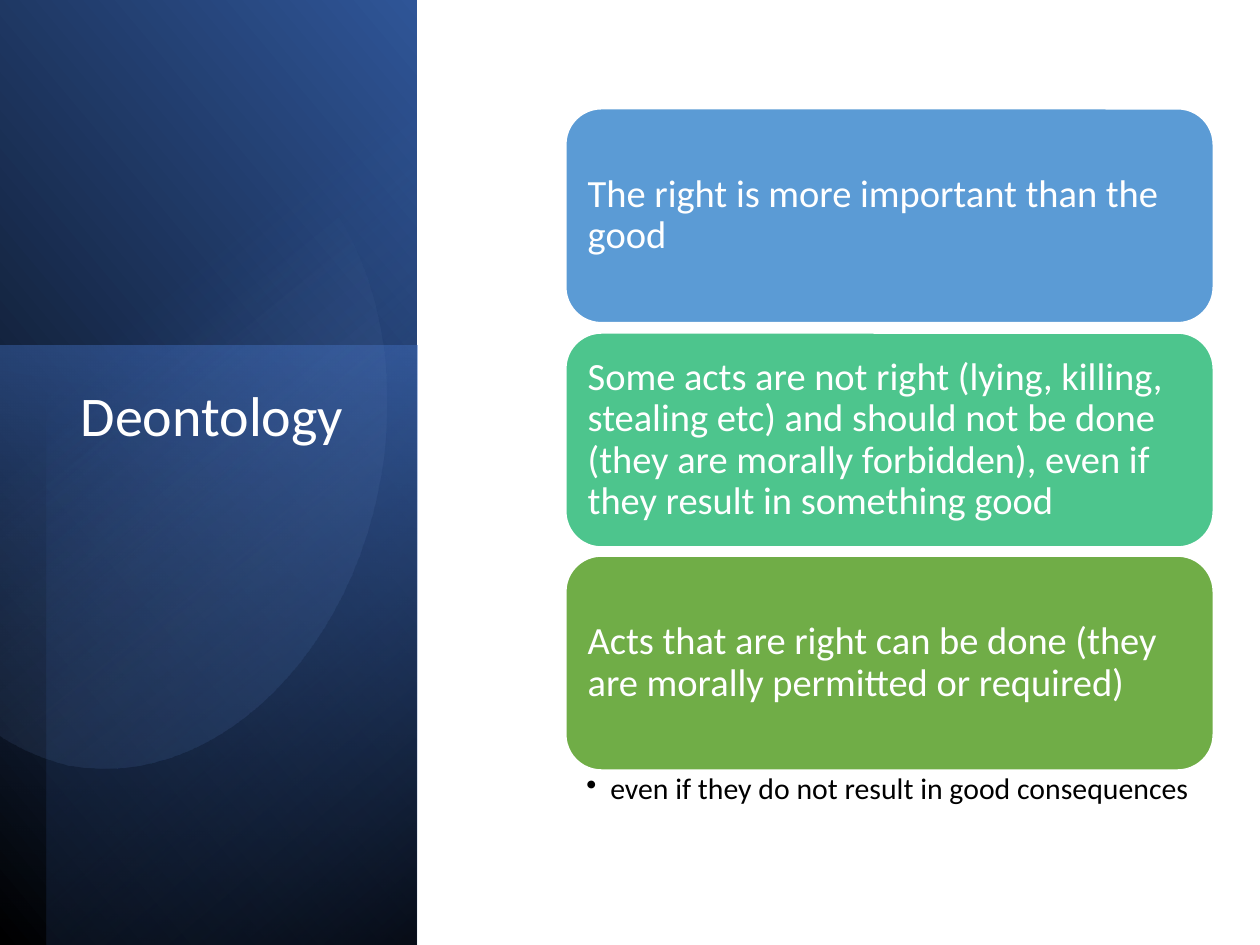
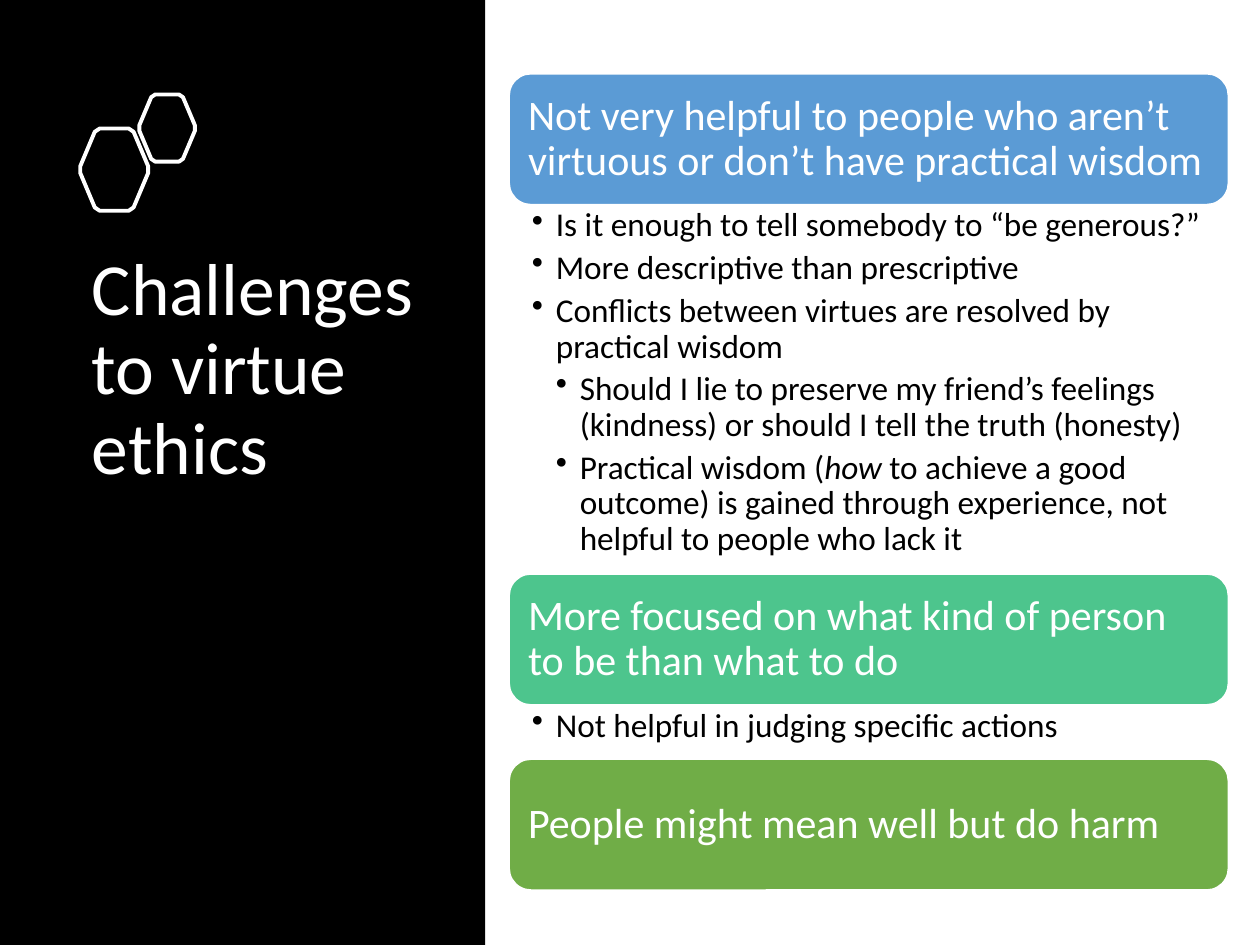
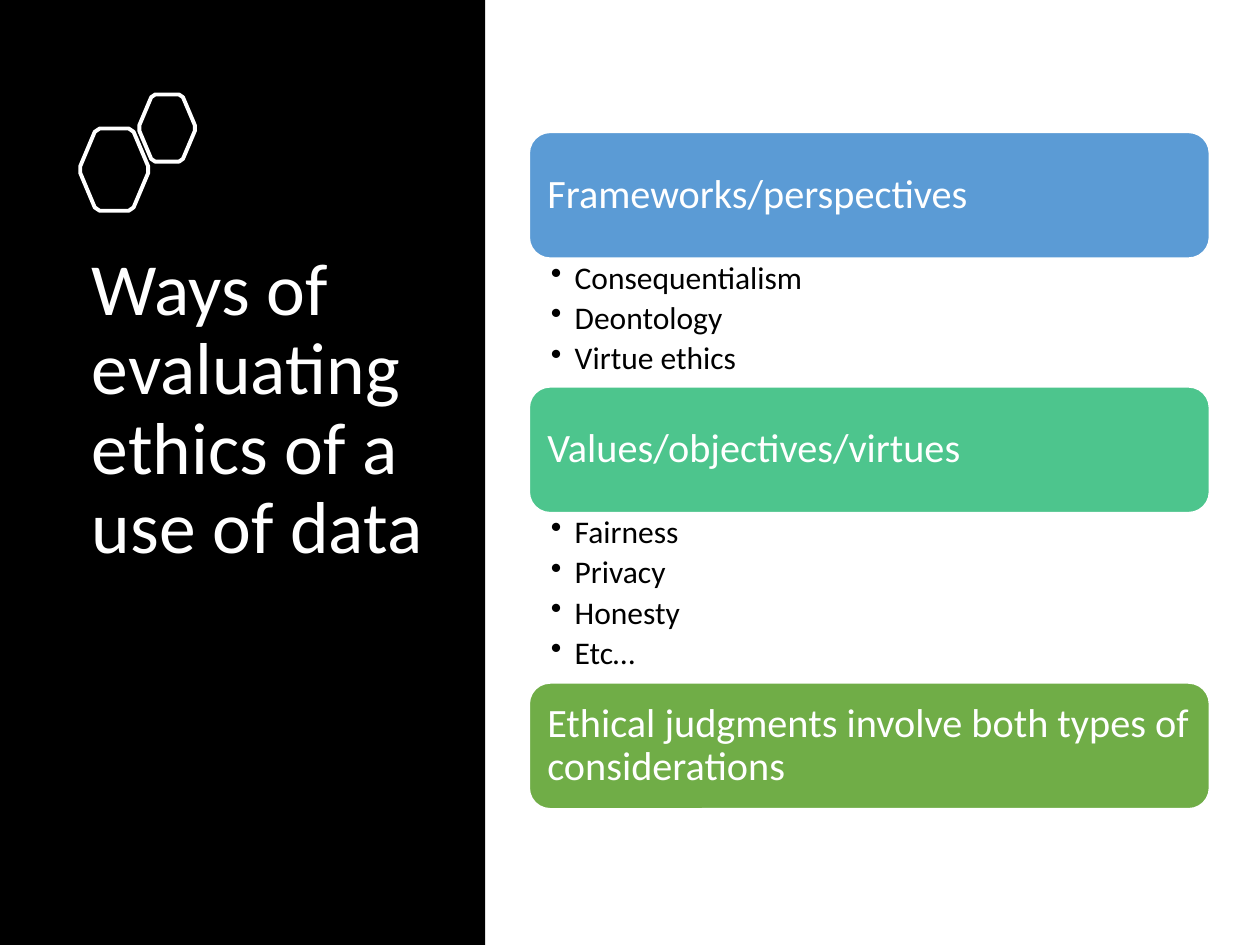
from dataclasses import dataclass

from lxml import etree
from pptx import Presentation
from pptx.dml.color import RGBColor
from pptx.enum.shapes import MSO_SHAPE
from pptx.enum.text import MSO_ANCHOR, MSO_AUTO_SIZE, PP_ALIGN
from pptx.oxml.ns import qn
from pptx.util import Inches, Pt

RECTANGLE, ROUNDED = MSO_SHAPE.RECTANGLE, MSO_SHAPE.ROUNDED_RECTANGLE
TOP, MIDDLE, LEFT = MSO_ANCHOR.TOP, MSO_ANCHOR.MIDDLE, PP_ALIGN.LEFT
NO_RESIZE = MSO_AUTO_SIZE.NONE

BLACK = RGBColor(0x00, 0x00, 0x00)
WHITE = RGBColor(0xFF, 0xFF, 0xFF)
BLUE = RGBColor(0x5B, 0x9B, 0xD5)
TEAL = RGBColor(0x4D, 0xC5, 0x8D)
GREEN = RGBColor(0x70, 0xAD, 0x47)
ROYAL = RGBColor(0x44, 0x72, 0xC4)
NAVY = RGBColor(0x20, 0x38, 0x64)
DEEP_BLUE = RGBColor(0x2F, 0x55, 0x97)
PALE_BLUE = RGBColor(0x8F, 0xAA, 0xDC)
CARD_COLORS = (BLUE, TEAL, GREEN)

FONT = "Calibri"
LINE_SPACING = 0.9
BULLET_INDENT = 0.19
TITLE_ONLY = 5


@dataclass
class Box:
    """An area of the slide, in inches."""
    left: float
    top: float
    width: float
    height: float

    def share(self, left, top, width, height):
        """The area inside this one given in percent of its size."""
        return Box(self.left + self.width * left / 100,
                   self.top + self.height * top / 100,
                   self.width * width / 100, self.height * height / 100)

    def turned(self):
        """The frame that covers this area after a quarter turn."""
        shift = (self.width - self.height) / 2
        return Box(self.left + shift, self.top - shift, self.height, self.width)

    def frame(self):
        return [Inches(n) for n in (self.left, self.top, self.width, self.height)]


SLIDE = Box(0, 0, 10, 7.5)

# Oval on the gradient band: inches from the band's corner
OVAL_START = (1.2, 0.89)
OVAL_CURVES = [
    ((1.33, 0.88), (1.47, 0.89), (1.6, 0.91)),
    ((2.67, 1.13), (3.29, 2.47), (3, 3.89)),
    ((2.71, 5.31), (1.61, 6.28), (0.54, 6.07)),
    ((0.34, 6.02), (0.16, 5.94), (-0.01, 5.83)),
]
OVAL_LEFT_EDGE = [(-0.12, 5.74), (0.09, 1.38), (0.25, 1.25)]

# Upper left quarter of a hexagon with cut corners, in percent of its box
HEXAGON_QUARTER = [(1, 46), (22, 4), (29, 0)]


def add_block(page, kind, box, color=None):
    shape = page.shapes.add_shape(kind, *box.frame())
    shape.shadow.inherit = False
    shape.line.fill.background()
    if color is not None:
        shape.fill.solid()
        shape.fill.fore_color.rgb = color
    return shape


def add_outline(page, points):
    corners = [(Inches(x), Inches(y)) for x, y in points]
    builder = page.shapes.build_freeform(*corners[0])
    builder.add_line_segments(corners[1:])
    shape = builder.convert_to_shape()
    shape.shadow.inherit = False
    return shape


def fill_gradient(shape, angle, stops):
    """Fill with two stops of (position, colour, opacity), all in percent."""
    shape.fill.gradient()
    shape.fill.gradient_angle = 360 - angle
    for stop, (position, color, _) in zip(shape.fill.gradient_stops, stops):
        stop.position = position / 100
        stop.color.rgb = color
    colors = list(shape.element.spPr.iter(qn("a:srgbClr")))
    for color, (_, _, opacity) in zip(colors, stops):
        etree.SubElement(color, qn("a:alpha")).set("val", str(opacity * 1000))


def add_layer(page, box, rotation, flipped, angle, stops):
    """A gradient rectangle, turned a quarter so that it covers the box."""
    layer = add_block(page, RECTANGLE, box.turned())
    layer.rotation = rotation
    if flipped:
        layer.element.spPr.find(qn("a:xfrm")).set("flipH", "1")
    fill_gradient(layer, angle, stops)


def curve_points(start, first, second, end, steps=24):
    """Points on a cubic curve, without its start."""
    for step in range(1, steps + 1):
        t = step / steps
        u = 1 - t
        yield tuple(u**3 * a + 3 * u * u * t * b + 3 * u * t * t * c + t**3 * d
                    for a, b, c, d in zip(start, first, second, end))


def add_gradient_band(page, band):
    add_layer(page, band, 90, True, 310, [(0, BLACK, 100), (100, DEEP_BLUE, 100)])
    add_layer(page, band.share(0, 36.53, 100, 63.47), 270, False, 190,
              [(0, ROYAL, 50), (100, NAVY, 0)])
    add_layer(page, band.share(11.2, 0, 88.8, 100), 270, True, 220,
              [(0, BLACK, 59), (69, ROYAL, 0)])
    points = [OVAL_START]
    for curve in OVAL_CURVES:
        points.extend(curve_points(points[-1], *curve))
    points += OVAL_LEFT_EDGE + [OVAL_START]
    oval = add_outline(page, [(band.left + x, band.top + y) for x, y in points])
    oval.line.fill.background()
    fill_gradient(oval, 51.6, [(39, PALE_BLUE, 0), (100, DEEP_BLUE, 26)])


def add_hexagon(page, box):
    left_top = HEXAGON_QUARTER
    top = left_top + [(100 - x, y) for x, y in reversed(left_top)]
    ring = top + [(x, 100 - y) for x, y in reversed(top)]
    corners = [box.share(x, y, 0, 0) for x, y in ring + ring[:1]]
    hexagon = add_outline(page, [(corner.left, corner.top) for corner in corners])
    hexagon.fill.background()
    hexagon.line.color.rgb = WHITE
    hexagon.line.width = Pt(2.25)


def add_black_band(page, band):
    add_block(page, RECTANGLE, band, BLACK)
    add_hexagon(page, band.share(16.4, 13.6, 14.3, 8.7))
    add_hexagon(page, band.share(28.6, 10, 11.7, 7.1))


def style_spans(para, size, color):
    para.line_spacing = LINE_SPACING
    para.alignment = LEFT
    for span in para.runs:
        span.font.name = FONT
        span.font.size = Pt(size)
        span.font.color.rgb = color


def set_frame(frame, anchor, left, top, right, bottom):
    """Set wrapping, anchor and margins; the margins are in points."""
    frame.word_wrap = True
    frame.auto_size = NO_RESIZE
    frame.vertical_anchor = anchor
    frame.margin_left, frame.margin_right = Pt(left), Pt(right)
    frame.margin_top, frame.margin_bottom = Pt(top), Pt(bottom)


def place_title(page, text, box, size):
    title = page.shapes.title
    title.left, title.top, title.width, title.height = box.frame()
    title.element.getparent().append(title.element)  # in front of the band
    set_frame(title.text_frame, TOP, 7.2, 3.6, 7.2, 3.6)
    title.text_frame.text = text
    style_spans(title.text_frame.paragraphs[0], size, WHITE)


def add_card(page, box, text, color, size):
    card = add_block(page, ROUNDED, box, color)
    card.line.color.rgb = WHITE
    card.line.width = Pt(1)
    set_frame(card.text_frame, MIDDLE, *[size * 0.3] * 4)
    card.text_frame.text = text
    style_spans(card.text_frame.paragraphs[0], size, WHITE)


def add_bullets(page, box, items, size):
    """A list of (level, text); words between asterisks are italic."""
    frame = page.shapes.add_textbox(*box.frame()).text_frame
    set_frame(frame, TOP, box.width * 2.29, 2, size * 0.71, 2)
    for number, (level, text) in enumerate(items):
        para = frame.add_paragraph() if number else frame.paragraphs[0]
        para.level = level
        properties = para._p.get_or_add_pPr()
        properties.set("marL", str(Inches(BULLET_INDENT * level)))
        properties.set("indent", str(-Inches(BULLET_INDENT)))
        etree.SubElement(properties, qn("a:buChar")).set("char", "•")
        for position, words in enumerate(text.split("*")):
            span = para.add_run()
            span.text = words
            if position % 2:
                span.font.italic = True
        para.space_after = Pt(size * 0.2)
        style_spans(para, size, BLACK)


def add_card_stack(page, area, card_height, sizes, cards):
    """Stack cards of (heading, bullets, room below the card in inches)."""
    heading_size, bullet_size = sizes
    top = area.top
    for color, (heading, bullets, room) in zip(CARD_COLORS, cards):
        add_card(page, Box(area.left, top, area.width, card_height),
                 heading, color, heading_size)
        top += card_height
        if bullets:
            add_bullets(page, Box(area.left, top, area.width, room),
                        bullets, bullet_size)
        top += room


def add_page(deck):
    return deck.slides.add_slide(deck.slide_layouts[TITLE_ONLY])


def add_gradient_page(deck, title, *stack):
    page = add_page(deck)
    add_gradient_band(page, SLIDE.share(0, 0, 33.1, 100))
    place_title(page, title, SLIDE.share(5.4, 40.4, 23.6, 44.8), 32)
    add_card_stack(page, *stack)


def add_black_page(deck, title, *stack):
    page = add_page(deck)
    add_black_band(page, SLIDE.share(0, 0, 38.5, 100))
    place_title(page, title, SLIDE.share(6.3, 26, 29.4, 46.67), 42)
    add_card_stack(page, *stack)


def main():
    deck = Presentation()
    deck.slide_width, deck.slide_height = Inches(SLIDE.width), Inches(SLIDE.height)

    add_gradient_page(
        deck, "Deontology", SLIDE.share(44.9, 11.5, 51.4, 75.5), 1.7, (22, 17), [
            ("The right is more important than the good", [], 0.08),
            ("Some acts are not right (lying, killing, stealing etc) and should "
             "not be done (they are morally forbidden), even if they result in "
             "something good", [], 0.07),
            ("Acts that are right can be done (they are morally permitted or "
             "required)",
             [(1, "even if they do not result in good consequences")], 0.4),
        ])

    add_black_page(
        deck, "Challenges to virtue ethics",
        SLIDE.share(40.4, 7.8, 57.1, 86.7), 1.04, (24, 19), [
            ("Not very helpful to people who aren’t virtuous or don’t have "
             "practical wisdom", [
                 (1, "Is it enough to tell somebody to “be generous?”"),
                 (1, "More descriptive than prescriptive"),
                 (1, "Conflicts between virtues are resolved by practical wisdom"),
                 (2, "Should I lie to preserve my friend’s feelings (kindness) "
                     "or should I tell the truth (honesty)"),
                 (2, "Practical wisdom (*how* to achieve a good outcome) is "
                     "gained through experience, not helpful to people who "
                     "lack it"),
             ], 2.93),
            ("More focused on what kind of person to be than what to do",
             [(1, "Not helpful in judging specific actions")], 0.43),
            ("People might mean well but do harm", [], 0),
        ])

    add_black_page(
        deck, "Ways of evaluating ethics of a use of data",
        SLIDE.share(42, 14, 54, 71.6), 1, (23, 18), [
            ("Frameworks/perspectives",
             [(1, "Consequentialism"), (1, "Deontology"), (1, "Virtue ethics")],
             1.02),
            ("Values/objectives/virtues",
             [(1, "Fairness"), (1, "Privacy"), (1, "Honesty"), (1, "Etc…")],
             1.35),
            ("Ethical judgments involve both types of considerations", [], 0),
        ])

    deck.save("out.pptx")


if __name__ == "__main__":
    main()
